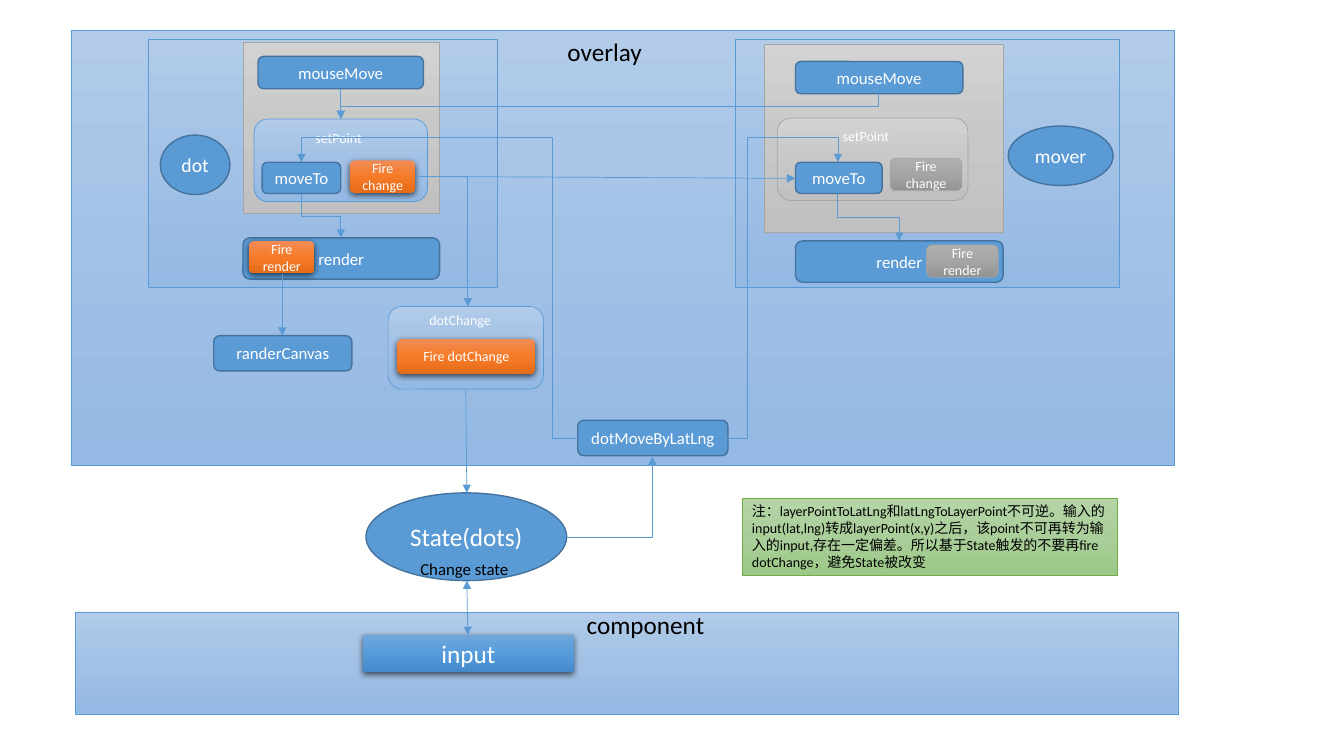
from copy import deepcopy
from dataclasses import dataclass

from lxml import etree
from pptx import Presentation
from pptx import util as u
from pptx.dml.color import RGBColor
from pptx.enum import shapes, text
from pptx.oxml.ns import qn

RECT = shapes.MSO_SHAPE.RECTANGLE
ROUND = shapes.MSO_SHAPE.ROUNDED_RECTANGLE
OVAL = shapes.MSO_SHAPE.OVAL


@dataclass(frozen=True)
class Look:
    fill: tuple
    line: str = ""
    weight: float = 0.5
    shadow: bool = False


class Theme:
    font = "Calibri"
    white, black = "FFFFFF", "000000"
    link = "5B9BD5"
    title, role, body, small = 18, 14, 12, 10
    node = Look(("5B9BD5",), "43739E", 1)
    area = Look(("B1CBE9", "A3C1E5", "93B9E4"), "5B9BD5")
    gray = Look(("D2D2D2", "C8C8C8", "C0C0C0"), "A5A5A5")
    muted = Look(("AFAFAF", "A5A5A5", "939393"), "A5A5A5")
    fire = Look(("F18C57", "F67B28", "E56C19"), shadow=True)
    input_bar = Look(("71A6DB", "559BDB", "448ACA"), shadow=True)
    note = Look(("B5D5A7", "AACE9A", "9CC987"), "70AD47")


def rgb(value):
    return RGBColor.from_string(value)


def child(parent, tag, **attrs):
    return etree.SubElement(parent, qn(tag), {k: str(v) for k, v in attrs.items()})


class Diagram:
    def __init__(self, slide, theme):
        self.s = slide
        self.t = theme

    def set_text(self, tf, words, size, color, align):
        tf.text = words
        p = tf.paragraphs[0]
        p.alignment = align
        for r in p.runs:
            r.font.name = self.t.font
            r.font.size = u.Pt(size)
            r.font.color.rgb = rgb(color)

    def paint(self, sp, colors):
        if len(colors) == 1:
            sp.fill.solid()
            sp.fill.fore_color.rgb = rgb(colors[0])
            return
        sp.fill.gradient()
        sp.fill.gradient_angle = 270
        stops = sp._element.spPr.find(".//" + qn("a:gsLst"))
        stops.insert(1, deepcopy(stops[0]))
        for stop, color, place in zip(sp.fill.gradient_stops, colors, (0, 0.5, 1)):
            stop.color.rgb = rgb(color)
            stop.position = place

    def box(self, kind, at, look, words="", size=Theme.body, color=Theme.white,
            align=text.PP_ALIGN.CENTER, anchor=text.MSO_ANCHOR.MIDDLE):
        sp = self.s.shapes.add_shape(kind, *map(u.Inches, at))
        self.paint(sp, look.fill)
        if look.line:
            sp.line.color.rgb = rgb(look.line)
            sp.line.width = u.Pt(look.weight)
        else:
            sp.line.fill.background()
        sp.shadow.inherit = False
        if look.shadow:
            effects = sp._element.spPr.find(qn("a:effectLst"))
            shade = child(effects, "a:outerShdw", blurRad=u.Pt(4.5), dist=u.Pt(1.5),
                          dir=5400000, algn="ctr", rotWithShape=0)
            child(child(shade, "a:srgbClr", val=self.t.black), "a:alpha", val=63000)
        if words:
            sp.text_frame.word_wrap = True
            sp.text_frame.vertical_anchor = anchor
            self.set_text(sp.text_frame, words, size, color, align)

    def label(self, at, words, size, color):
        tf = self.s.shapes.add_textbox(*map(u.Inches, at)).text_frame
        tf.word_wrap = False
        tf.auto_size = text.MSO_AUTO_SIZE.SHAPE_TO_FIT_TEXT
        self.set_text(tf, words, size, color, text.PP_ALIGN.LEFT)

    def arrow(self, start, end, kind=shapes.MSO_CONNECTOR.STRAIGHT, both=False):
        c = self.s.shapes.add_connector(kind, *map(u.Inches, (*start, *end)))
        c.line.color.rgb = rgb(self.t.link)
        c.line.width = u.Pt(0.5)
        ln = c._element.spPr.find(qn("a:ln"))
        if both:
            child(ln, "a:headEnd", type="triangle")
        child(ln, "a:tailEnd", type="triangle")
        child(c._element.spPr, "a:effectLst")
        return c

    def elbow(self, start, end, bends, adjust=()):
        c = self.arrow(start, end, shapes.MSO_CONNECTOR.ELBOW)
        geom = c._element.spPr.find(qn("a:prstGeom"))
        geom.set("prst", f"bentConnector{bends + 1}")
        guides = geom.find(qn("a:avLst"))
        for i, share in enumerate(adjust, 1):
            child(guides, "a:gd", name=f"adj{i}", fmla=f"val {round(share * 100000)}")

    def drop(self, start, end):
        (x1, y1), (x2, y2) = start, end
        mx, my = (x1 + x2) / 2, (y1 + y2) / 2
        dx, dy = (x2 - x1) / 2, (y2 - y1) / 2
        c = self.arrow((mx - dy, my + dx), (mx + dy, my - dx), shapes.MSO_CONNECTOR.ELBOW)
        c._element.spPr.find(qn("a:xfrm")).set("rot", "5400000")

    def panel(self, frame, core, mouse, role, name, render):
        self.box(RECT, frame, self.t.area)
        self.box(RECT, core, self.t.gray)
        self.box(ROUND, mouse, self.t.node, "mouseMove")
        self.box(OVAL, role, self.t.node, name, self.t.role)
        self.box(ROUND, render, self.t.node, "render")

    def set_point(self, frame, look, fire, fire_look, move, caption):
        self.box(ROUND, frame, look)
        self.box(ROUND, fire, fire_look, "Fire change", self.t.small)
        self.box(ROUND, move, self.t.node, "moveTo")
        self.label(caption, "setPoint", self.t.small, self.t.white)


prs = Presentation()
prs.slide_width, prs.slide_height = u.Inches(13.33), u.Inches(7.5)
t = Theme()
d = Diagram(prs.slides.add_slide(prs.slide_layouts[6]), t)

d.box(RECT, (0.75, 6.07, 10.94, 1.02), t.area)
d.box(RECT, (0.71, 0.3, 10.94, 4.32), t.area)
d.label((5.72, 6, 1.38, 0.4), "component", t.title, t.black)
d.box(OVAL, (3.63, 4.89, 1.99, 0.87), t.node, "State(dots)", t.title)
d.label((4.07, 5.49, 1.08, 0.3), "Change state", t.body, t.black)
d.box(RECT, (3.6, 6.3, 2.09, 0.37), t.input_bar, "input", t.title)

d.panel((7.29, 0.39, 3.81, 2.46), (7.58, 0.44, 2.37, 1.87), (7.89, 0.61, 1.66, 0.32),
        (10, 1.25, 1.04, 0.59), "mover", (7.89, 2.39, 2.06, 0.41))
d.arrow((4.63, 5.76), (4.64, 6.3), both=True)
d.box(ROUND, (5.73, 4.17, 1.49, 0.35), t.node, "dotMoveByLatLng")
d.panel((1.47, 0.39, 3.46, 2.46), (2.41, 0.42, 1.95, 1.7), (2.56, 0.56, 1.64, 0.32),
        (1.59, 1.34, 0.69, 0.59), "dot", (2.41, 2.36, 1.95, 0.41))

d.arrow((3.38, 0.88), (3.38, 1.18))
d.elbow((5.62, 5.33), (6.47, 4.53), 1)
d.elbow((4.12, 1.75), (4.64, 3.04), 1)
d.drop((8.71, 0.93), (3.38, 1.18))

d.box(ROUND, (2.12, 3.33, 1.37, 0.35), t.node, "randerCanvas")
d.box(ROUND, (3.85, 3.04, 1.54, 0.82), t.area)
d.box(ROUND, (3.94, 3.36, 1.37, 0.35), t.fire, "Fire dotChange", t.small)
d.label((4.16, 3.04, 0.96, 0.29), "dotChange", t.small, t.white)
d.label((5.53, 0.31, 0.95, 0.4), "overlay", t.title, t.black)

d.set_point((2.52, 1.18, 1.72, 0.82), t.area, (3.47, 1.59, 0.65, 0.32), t.fire,
            (2.6, 1.61, 0.78, 0.31), (3.03, 1.24, 0.67, 0.27))
d.set_point((7.71, 1.17, 1.89, 0.82), t.gray, (8.83, 1.57, 0.71, 0.32), t.muted,
            (7.89, 1.61, 0.86, 0.31), (8.26, 1.22, 0.74, 0.27))

d.arrow((4.12, 1.75), (7.89, 1.77))
d.drop((2.99, 1.93), (3.38, 2.36))
d.drop((8.31, 1.92), (8.92, 2.39))
d.box(RECT, (7.36, 4.94, 3.72, 0.77), t.note,
      "注：layerPointToLatLng和latLngToLayerPoint不可逆。输入的input(lat,lng)转成"
      "layerPoint(x,y)之后，该point不可再转为输入的input,存在一定偏差。"
      "所以基于State触发的不要再fire dotChange，避免State被改变",
      t.small, t.black, text.PP_ALIGN.LEFT, text.MSO_ANCHOR.TOP)
d.arrow((4.62, 3.86), (4.63, 4.89))
d.elbow((5.73, 4.35), (2.99, 1.61), 3, (0.09, 1.09))
d.elbow((7.22, 4.35), (8.31, 1.61), 3, (0.18, 1.09))

d.box(ROUND, (2.47, 2.39, 0.65, 0.32), t.fire, "Fire render", t.small)
d.box(ROUND, (9.19, 2.43, 0.71, 0.32), t.muted, "Fire render", t.small)
d.arrow((2.8, 2.72), (2.8, 3.33))

prs.save("out.pptx")
